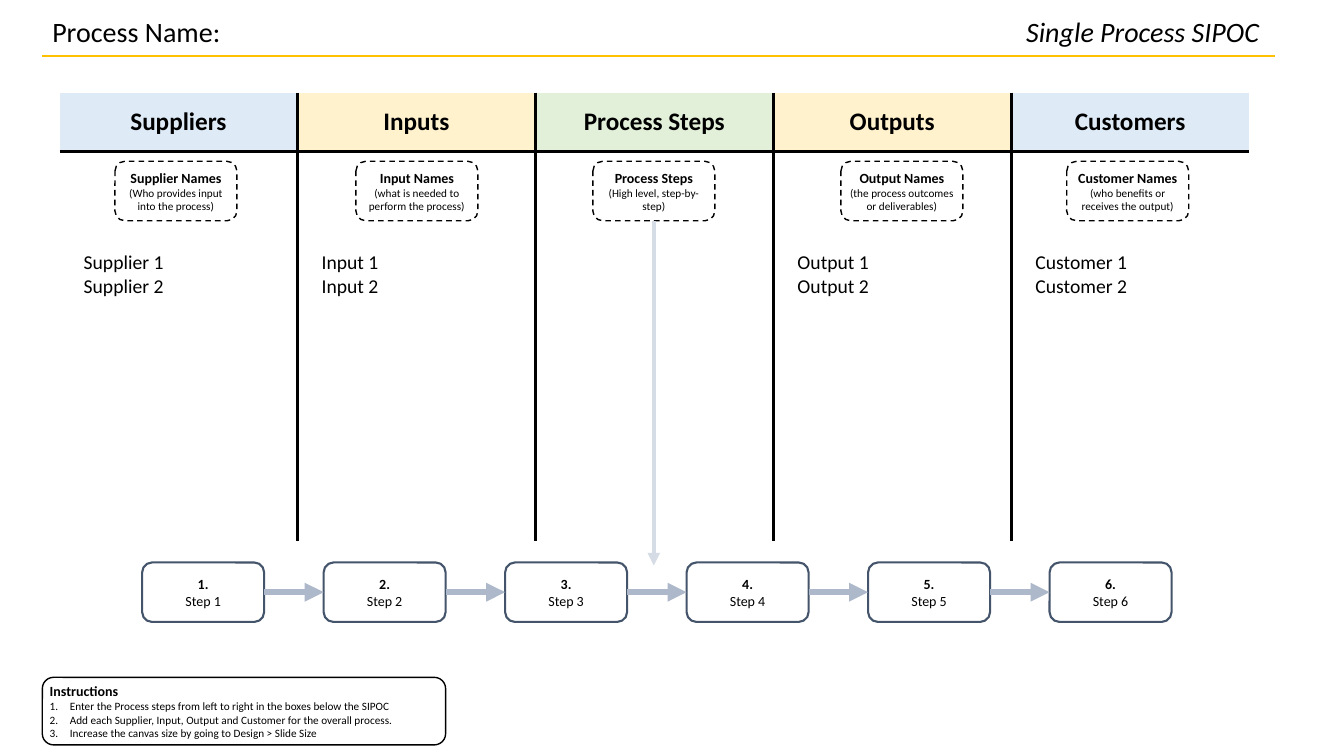
import pptx
import pptx.util
import pptx.dml.color
import pptx.enum.dml
import pptx.enum.shapes
import pptx.enum.text
import pptx.oxml.ns
from dataclasses import dataclass

PX = 9144  # EMU per px, 100 px to the inch
ALIGN = pptx.enum.text.PP_ALIGN
ANCHOR = pptx.enum.text.MSO_ANCHOR
SHAPE = pptx.enum.shapes.MSO_SHAPE
STRAIGHT = pptx.enum.shapes.MSO_CONNECTOR.STRAIGHT
DASH = pptx.enum.dml.MSO_LINE.DASH


@dataclass(frozen=True)
class Theme:
    font: str = "Calibri"
    ink: str = "000000"
    paper: str = "FFFFFF"
    rule: str = "FFC000"
    blue: str = "DEEBF7"
    yellow: str = "FFF2CC"
    green: str = "E2F0D9"
    step: str = "44546A"
    arrow: str = "ADB9CA"
    drop: str = "D6DCE5"
    title: int = 20
    head: int = 18
    body: int = 14
    label: int = 10
    small: int = 8


T = Theme()
INSET = 4
BOX_W, BOX_H = 121, 59

# Heading, fill, box offset in column, box title, box hint, entries
COLUMNS = [
    ("Suppliers", T.blue, 55, "Supplier Names", "(Who provides input into the process)",
     ["Supplier 1", "Supplier 2"]),
    ("Inputs", T.yellow, 58, "Input Names", "(what is needed to perform the process)",
     ["Input 1", "Input 2"]),
    ("Process Steps", T.green, 57, "Process Steps", "(High level, step-by-step)", []),
    ("Outputs", T.yellow, 67, "Output Names", "(the process outcomes or deliverables)",
     ["Output 1", "Output 2"]),
    ("Customers", T.blue, 55, "Customer Names", "(who benefits or receives the output)",
     ["Customer 1", "Customer 2"]),
]
INSTRUCTIONS = [
    "Enter the Process steps from left to right in the boxes below the SIPOC",
    "Add each Supplier, Input, Output and Customer for the overall process.",
    "Increase the canvas size by going to Design > Slide Size",
]


def px(*values):
    return [pptx.util.Emu(v * PX) for v in values]


def rgb(value):
    return pptx.dml.color.RGBColor.from_string(value)


def sub(parent, tag, **attrs):
    el = parent.makeelement(pptx.oxml.ns.qn(tag), attrs)
    parent.append(el)
    return el


def set_attrs(obj, values):
    for name, value in values.items():
        setattr(obj, name, value)


def write(tf, lines, align=ALIGN.LEFT):
    """Fill a text frame with (text, size, font values) lines."""
    for i, (text, size, values) in enumerate(lines):
        p = tf.paragraphs[0] if i == 0 else tf.add_paragraph()
        p.alignment = align
        r = p.add_run()
        r.text = text
        set_attrs(r.font, {"name": T.font, "size": pptx.util.Pt(size), "bold": False, **values})
        r.font.color.rgb = rgb(T.ink)


def add_text(s, box, text, align, **values):
    tf = s.shapes.add_textbox(*px(*box)).text_frame
    tf.word_wrap = True
    write(tf, [(text, T.title, values)], align)


def add_box(s, box, lines, color, width, align=ALIGN.CENTER, dash=None):
    sp = s.shapes.add_shape(SHAPE.ROUNDED_RECTANGLE, *px(*box))
    sp.shadow.inherit = False
    sp.fill.solid()
    sp.fill.fore_color.rgb = rgb(T.paper)
    sp.line.color.rgb = rgb(color)
    set_attrs(sp.line, {"width": pptx.util.Pt(width), "dash_style": dash})
    inset, = px(INSET)
    sides = ("margin_left", "margin_top", "margin_right", "margin_bottom")
    set_attrs(sp.text_frame, {"word_wrap": True, "vertical_anchor": ANCHOR.MIDDLE,
                              **dict.fromkeys(sides, inset)})
    write(sp.text_frame, lines, align)
    return sp


def add_line(s, start, end, color, width, arrow=True):
    cn = s.shapes.add_connector(STRAIGHT, *px(*start, *end))
    cn.line.color.rgb = rgb(color)
    cn.line.width = pptx.util.Pt(width)
    if arrow:
        sub(cn.line._get_or_add_ln(), "a:tailEnd", type="triangle")
    sub(cn._element.spPr, "a:effectLst")
    return cn


def set_borders(cell, shown):
    tcPr = cell._tc.get_or_add_tcPr()
    for side in "LRTB":
        ln = sub(tcPr, "a:ln" + side, w=str(pptx.util.Pt(2.25)))
        if side in shown:
            sub(sub(ln, "a:solidFill"), "a:srgbClr", val=T.ink)
        else:
            sub(ln, "a:noFill")


def header(s, x, y, w):
    add_line(s, (x, y + 47), (x + w, y + 47), T.rule, 1.5, arrow=False)
    add_text(s, (x, y, 639, 44), "Process Name:", ALIGN.LEFT)
    add_text(s, (x + w - 405, y, 405, 44), "Single Process SIPOC ", ALIGN.RIGHT, italic=True)


def sipoc_table(s, x, y, w, h):
    head_h = 58
    table = s.shapes.add_table(2, len(COLUMNS), *px(x, y, w, h)).table
    set_attrs(table, {"first_row": False, "horz_banding": False})
    table.rows[0].height, table.rows[1].height = px(head_h, h - head_h)
    for i, (heading, fill, _, _, _, entries) in enumerate(COLUMNS):
        inner = ("L" if i else "") + ("R" if i < len(COLUMNS) - 1 else "")
        # Heading cell
        cell = table.cell(0, i)
        set_borders(cell, inner + "B")
        cell.fill.solid()
        cell.fill.fore_color.rgb = rgb(fill)
        cell.vertical_anchor = ANCHOR.MIDDLE
        write(cell.text_frame, [(heading, T.head, {"bold": True})], ALIGN.CENTER)
        # Entries start below the name box
        cell = table.cell(1, i)
        set_borders(cell, inner + "T")
        cell.fill.background()
        cell.margin_left, cell.margin_top = px(INSET + 20, 99)
        write(cell.text_frame, [(entry, T.body, {}) for entry in entries])


def name_boxes(s, x, y, w):
    pitch = w // len(COLUMNS)
    return [add_box(s, (x + i * pitch + offset, y, BOX_W, BOX_H),
                    [(title, T.label, {"bold": True}), (hint, T.small, {})],
                    T.ink, 1, dash=DASH)
            for i, (_, _, offset, title, hint, _) in enumerate(COLUMNS)]


def step_chain(s, x, y, count=6, pitch=180):
    steps = [add_box(s, (x + i * pitch, y, BOX_W, BOX_H),
                     [(f"{i + 1}.", T.label, {"bold": True}), (f"Step {i + 1}", T.label, {})],
                     T.step, 1.5)
             for i in range(count)]
    for left, right in zip(steps, steps[1:]):
        cn = add_line(s, (x, y), (x, y), T.arrow, 4.5)
        cn.begin_connect(left, 3)
        cn.end_connect(right, 1)


def instructions(s, x, y, w, h):
    lines = [("Instructions", T.label, {"bold": True})]
    lines += [(text, T.small, {}) for text in INSTRUCTIONS]
    sp = add_box(s, (x, y, w, h), lines, T.ink, 1, ALIGN.LEFT)
    indent = 20 * PX
    for p in sp.text_frame.paragraphs[1:]:
        pPr = p._p.get_or_add_pPr()
        pPr.set("marL", str(indent))
        pPr.set("indent", str(-indent))
        sub(pPr, "a:buFont", typeface="+mj-lt")
        sub(pPr, "a:buAutoNum", type="arabicPeriod")


def sipoc_slide(prs):
    s = prs.slides.add_slide(prs.slide_layouts[6])
    header(s, 42, 9, 1223)
    sipoc_table(s, 59, 92, 1180, 445)
    boxes = name_boxes(s, 59, 160, 1180)
    instructions(s, 42, 672, 400, 67)
    step_chain(s, 141, 558)
    # Drop arrow from the process box to the step chain
    drop = add_line(s, (648, 219), (648, 561), T.drop, 3)
    drop.begin_connect(boxes[2], 2)
    drop.end_x = drop.begin_x


def main():
    prs = pptx.Presentation()
    prs.slide_width, prs.slide_height = px(1333, 750)
    sipoc_slide(prs)
    prs.save("out.pptx")


if __name__ == "__main__":
    main()
